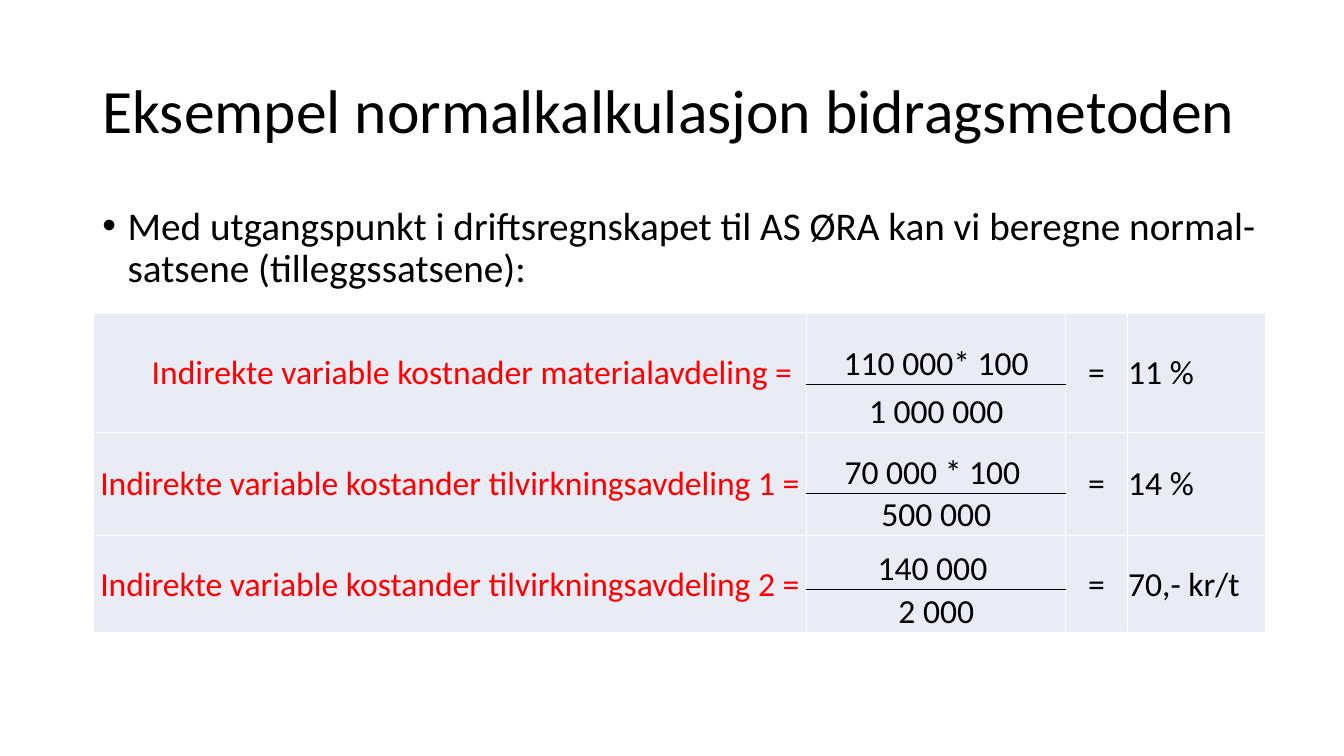
from lxml.etree import SubElement
from pptx import Presentation
from pptx.dml.color import RGBColor
from pptx.enum.text import MSO_ANCHOR as Anchor, MSO_AUTO_SIZE as Fit, PP_ALIGN as Align
from pptx.oxml.ns import qn
from pptx.util import Pt

BLACK = RGBColor(0, 0, 0)
RED = RGBColor(255, 0, 0)
WHITE = RGBColor(255, 255, 255)
PALE = RGBColor(0xE9, 0xEB, 0xF5)

COLS = [509.76, 185.04, 43.92, 98.64]
ROWS = [51.12, 34.56, 43.2, 29.52, 38.88, 30.96]
RATES = [
    ("Indirekte variable kostnader materialavdeling = ", "110 000* 100", "1 000 000", "11 %"),
    ("Indirekte variable kostander tilvirkningsavdeling 1 = ", "70 000 * 100 ", "500 000", "14 %"),
    ("Indirekte variable kostander tilvirkningsavdeling 2 = ", "140 000 ", "2 000", "70,- kr/t"),
]


def write(frame, text, size, color=BLACK, align=Align.LEFT):
    frame.text = text
    para = frame.paragraphs[0]
    para.alignment = align
    para.font.name = "Calibri"
    para.font.size = Pt(size)
    para.font.color.rgb = color
    return para


def edge(cell, colors):
    """Draw 1 pt cell borders, colours given as left, right, top, bottom."""
    props = cell._tc.get_or_add_tcPr()
    for i, (side, color) in enumerate(zip("LRTB", colors)):
        line = SubElement(props, qn("a:ln" + side), w=str(Pt(1)))
        fill = SubElement(line, qn("a:solidFill"))
        SubElement(fill, qn("a:srgbClr"), val=str(color))
        props.insert(i, line)


deck = Presentation()
deck.slide_width, deck.slide_height = Pt(960), Pt(540)
slide = deck.slides.add_slide(deck.slide_layouts[1])

title, body = slide.placeholders
title.left, title.top, title.width, title.height = Pt(66), Pt(28.75), Pt(828), Pt(104.4)
title.text_frame.auto_size = Fit.NONE
title.text_frame.vertical_anchor = Anchor.MIDDLE
head = write(title.text_frame, "Eksempel normalkalkulasjon bidragsmetoden", 44)
head.line_spacing = 0.9

body.left, body.top, body.width, body.height = Pt(66), Pt(143.75), Pt(850), Pt(367)
body.text_frame.auto_size = Fit.NONE
intro = write(
    body.text_frame,
    "Med utgangspunkt i driftsregnskapet til AS ØRA kan vi beregne normal-satsene (tilleggssatsene):",
    28,
)
intro.line_spacing = 0.9
intro.space_before = Pt(10)
props = intro._p.get_or_add_pPr()
props.set("marL", str(Pt(18)))
props.set("indent", str(Pt(-18)))

table = slide.shapes.add_table(
    len(ROWS), len(COLS), Pt(66.5), Pt(223.5), Pt(sum(COLS)), Pt(sum(ROWS))
).table
table.first_row = table.horz_banding = False
for col, width in zip(table.columns, COLS):
    col.width = Pt(width)
for row, height in zip(table.rows, ROWS):
    row.height = Pt(height)

for r in range(len(ROWS)):
    for c in range(len(COLS)):
        cell = table.cell(r, c)
        cell.fill.solid()
        cell.fill.fore_color.rgb = PALE
        cell.margin_left = cell.margin_top = Pt(0.7)
        cell.margin_right = Pt(5 if c == 0 else 0.7)
        cell.margin_bottom = 0
        cell.vertical_anchor = Anchor.BOTTOM if c == 1 else Anchor.MIDDLE
        top = BLACK if c == 1 and r % 2 else WHITE
        base = BLACK if c == 1 and r % 2 == 0 else WHITE
        edge(cell, [WHITE, WHITE, top, base])

for i, (label, over, under, rate) in enumerate(RATES):
    r = 2 * i
    for c in (0, 2, 3):
        table.cell(r, c).merge(table.cell(r + 1, c))
    write(table.cell(r, 0).text_frame, label, 24, RED, Align.RIGHT)
    write(table.cell(r, 1).text_frame, over, 24, align=Align.CENTER)
    write(table.cell(r + 1, 1).text_frame, under, 24, align=Align.CENTER)
    write(table.cell(r, 2).text_frame, "=", 24, align=Align.CENTER)
    write(table.cell(r, 3).text_frame, rate, 24)

deck.save("out.pptx")
